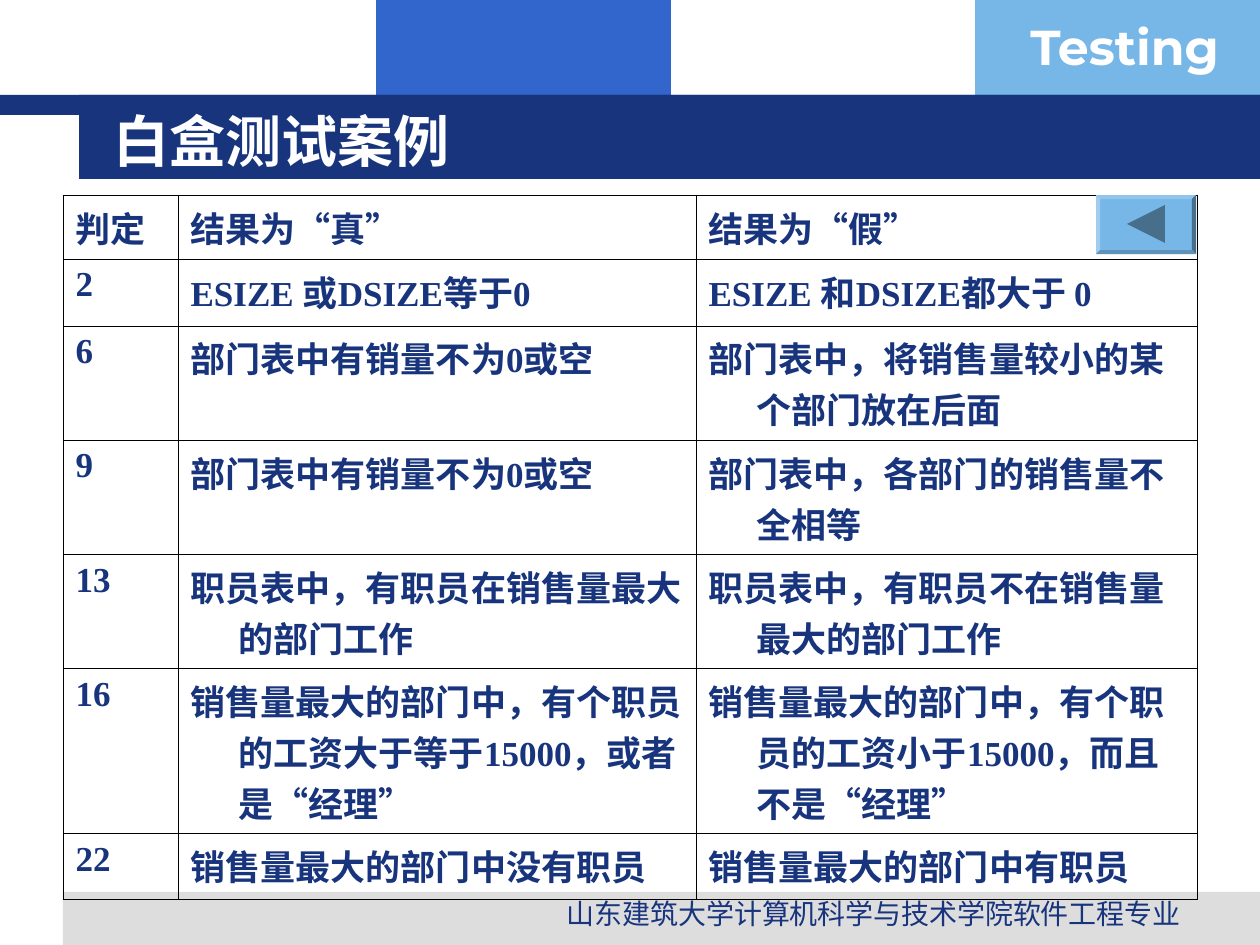
from lxml import etree
from pptx import Presentation
from pptx.dml.color import RGBColor
from pptx.enum.shapes import MSO_SHAPE
from pptx.enum.text import MSO_ANCHOR, MSO_AUTO_SIZE, PP_ALIGN
from pptx.oxml.ns import qn
from pptx.util import Emu, Pt

RECTANGLE = MSO_SHAPE.RECTANGLE
LEFT, CENTER = PP_ALIGN.LEFT, PP_ALIGN.CENTER
MIDDLE = MSO_ANCHOR.MIDDLE
NO_AUTOFIT = MSO_AUTO_SIZE.NONE

NAVY = RGBColor(0x17, 0x34, 0x7D)
BLUE = RGBColor(0x33, 0x66, 0xCC)
SKY = RGBColor(0x77, 0xB7, 0xE7)
SKY_LIGHT = RGBColor(0x92, 0xC5, 0xEC)
SKY_PALE = RGBColor(0xA0, 0xCD, 0xEF)
SKY_DIM = RGBColor(0x5F, 0x92, 0xB9)
SKY_DARK = RGBColor(0x47, 0x6E, 0x8B)
GREY = RGBColor(0xDD, 0xDD, 0xDD)
WHITE = RGBColor(0xFF, 0xFF, 0xFF)

CJK_FONT = "Noto Sans CJK SC"
PX = 914400 / 126


def px(value):
    return Emu(round(value * PX))


def style(paragraph, name, size, color, bold, align=LEFT):
    paragraph.alignment = align
    font = paragraph.font
    font.name, font.size, font.bold = name, Pt(size), bold
    font.color.rgb = color
    defaults = paragraph._p.pPr.find(qn("a:defRPr"))
    etree.SubElement(defaults, qn("a:ea"), typeface=CJK_FONT)


presentation = Presentation()
presentation.slide_width, presentation.slide_height = px(1260), px(945)
slide = presentation.slides.add_slide(presentation.slide_layouts[5])
shapes = slide.shapes

# Background bands
for left, top, width, height, color in (
    (376, 0, 295, 95, BLUE),
    (975, 0, 285, 95, SKY),
    (63, 892, 1197, 53, GREY),
    (0, 95, 1260, 20, NAVY),
    (79, 95, 1181, 84, NAVY),
):
    band = shapes.add_shape(RECTANGLE, px(left), px(top), px(width), px(height))
    band.shadow.inherit = False
    band.fill.solid()
    band.fill.fore_color.rgb = color
    band.line.fill.background()

# Course label and footer
for text, left, top, width, height, name, size, color, bold, align in (
    ("Testing", 1018, 10, 242, 72, "Montserrat", 28, WHITE, True, LEFT),
    ("山东建筑大学计算机科学与技术学院软件工程专业",
     512, 890, 724, 39, "Arial", 16, NAVY, False, CENTER),
):
    box = shapes.add_textbox(px(left), px(top), px(width), px(height))
    box.text_frame.word_wrap = True
    box.text_frame.text = text
    style(box.text_frame.paragraphs[0], name, size, color, bold, align)

# Title, brought in front of the bands
title = shapes.title
title.left, title.top, title.width, title.height = px(101), px(101), px(1075), px(78)
title.text_frame.text = "白盒测试案例"
title.text_frame.auto_size = NO_AUTOFIT
title.text_frame.vertical_anchor = MIDDLE
style(title.text_frame.paragraphs[0], CJK_FONT, 32, WHITE, True)
shapes._spTree.append(title._element)

# Decision table
rows = (
    ("判定", "结果为“真”", "结果为“假”"),
    ("2", "ESIZE 或DSIZE等于0", "ESIZE 和DSIZE都大于 0"),
    ("6", "部门表中有销量不为0或空", "部门表中，将销售量较小的某个部门放在后面"),
    ("9", "部门表中有销量不为0或空", "部门表中，各部门的销售量不全相等"),
    ("13", "职员表中，有职员在销售量最大的部门工作",
     "职员表中，有职员不在销售量最大的部门工作"),
    ("16", "销售量最大的部门中，有个职员的工资大于等于15000，或者是“经理”",
     "销售量最大的部门中，有个职员的工资小于15000，而且不是“经理”"),
    ("22", "销售量最大的部门中没有职员", "销售量最大的部门中有职员"),
)
column_widths = (115, 518, 501)
row_heights = (64, 67, 114, 114, 114, 165, 66)
table = shapes.add_table(
    len(rows), len(column_widths), px(63), px(195),
    px(sum(column_widths)), px(sum(row_heights)),
).table
table.first_row = table.horz_banding = False
for column, width in zip(table.columns, column_widths):
    column.width = px(width)
for row, height, texts in zip(table.rows, row_heights, rows):
    row.height = px(height)
    for cell, text in zip(row.cells, texts):
        cell.text = text
        paragraph = cell.text_frame.paragraphs[0]
        style(paragraph, "Times New Roman", 20, NAVY, True)
        paragraph._p.pPr.set("marL", str(px(48)))
        paragraph._p.pPr.set("indent", str(px(-48)))
        properties = cell._tc.get_or_add_tcPr()
        for edge in ("a:lnL", "a:lnR", "a:lnT", "a:lnB"):
            line = etree.SubElement(properties, qn(edge), w=str(Pt(0.45)))
            fill = etree.SubElement(line, qn("a:solidFill"))
            etree.SubElement(fill, qn("a:srgbClr"), val="000000")
        cell.fill.background()

# Back button: face, four bevelled edges, arrow
x1, y1, x2, y2, bevel = 1096, 195, 1196, 254, 4
outer = ((x1, y1), (x2, y1), (x2, y2), (x1, y2))
inner = ((x1 + bevel, y1 + bevel), (x2 - bevel, y1 + bevel),
         (x2 - bevel, y2 - bevel), (x1 + bevel, y2 - bevel))
pieces = [(outer, SKY)]
for side, color in enumerate((SKY_LIGHT, SKY_DARK, SKY_DIM, SKY_PALE)):
    after = (side + 1) % 4
    pieces.append(((outer[side], outer[after], inner[after], inner[side]), color))
pieces.append((((1127, 224), (1165, 205), (1165, 243)), SKY_DARK))
for points, color in pieces:
    builder = shapes.build_freeform(*points[0], scale=PX)
    builder.add_line_segments(points[1:], close=True)
    piece = builder.convert_to_shape()
    piece.shadow.inherit = False
    piece.fill.solid()
    piece.fill.fore_color.rgb = color
    piece.line.fill.background()

presentation.save("out.pptx")
